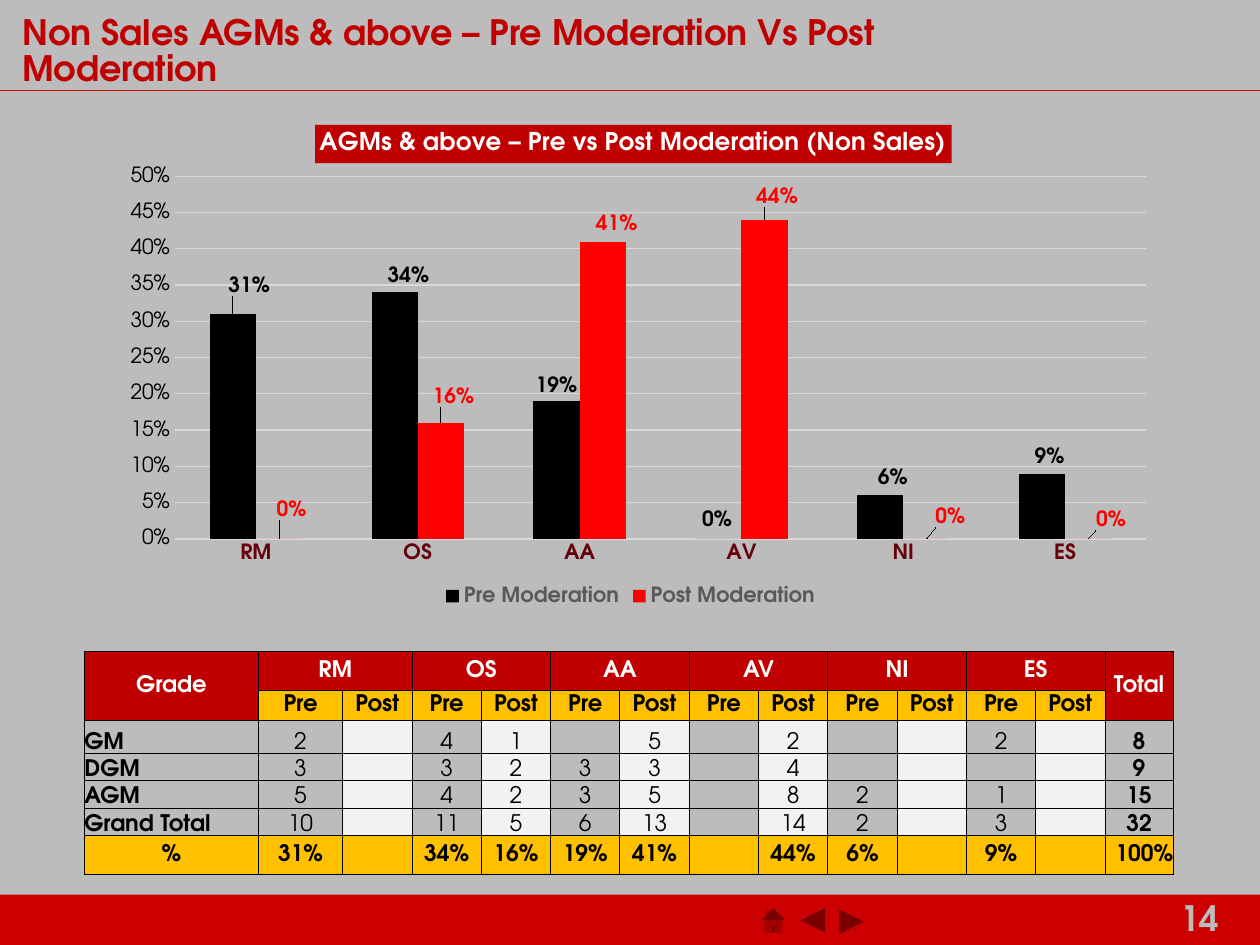
from dataclasses import dataclass
from typing import Any

from lxml.etree import SubElement
from pptx import Presentation
from pptx.chart.data import CategoryChartData
from pptx.dml.color import RGBColor
from pptx.enum.chart import XL_CHART_TYPE, XL_LABEL_POSITION, XL_LEGEND_POSITION, XL_TICK_MARK
from pptx.enum.shapes import MSO_CONNECTOR, MSO_SHAPE
from pptx.enum.text import MSO_ANCHOR, PP_ALIGN
from pptx.oxml import parse_xml
from pptx.oxml.ns import nsdecls, qn
from pptx.util import Inches, Pt

FONT = "TeX Gyre Adventor"
RED, BAR_RED, GOLD, PALE = "C00000", "CC0000", "FFC000", "F2F2F2"
BLACK, WHITE, GREY = "000000", "FFFFFF", "BCBCBC"
CATEGORIES = ["RM", "OS", "AA", "AV", "NI", "ES"]
CHART_BOX = (0.83, 0.99, 8.35, 3.86)


@dataclass
class Series:
    name: str
    values: list[float]
    color: str
    label_offsets: dict[int, tuple[float, float]]


@dataclass
class Button:
    kind: MSO_SHAPE
    left: float
    top: float


SERIES = [
    Series("Pre Moderation", [0.31, 0.34, 0.19, 0, 0.06, 0.09], BLACK,
           {0: (0.13, -0.1), 1: (0.11, -0.01), 3: (-0.01, -0.03),
            4: (0.1, -0.02), 5: (0.06, -0.01)}),
    Series("Post Moderation", [0, 0.16, 0.41, 0.44, 0, 0], "FF0000",
           {0: (0.1, -0.11), 1: (0.1, -0.08), 2: (0.11, -0.02),
            3: (0.1, -0.06), 4: (0.19, -0.05), 5: (0.18, -0.03)}),
]
BUTTONS = [
    Button(MSO_SHAPE.ACTION_BUTTON_BACK_OR_PREVIOUS, 6.63, 7.15),
    Button(MSO_SHAPE.ACTION_BUTTON_FORWARD_OR_NEXT, 6.32, 7.14),
    Button(MSO_SHAPE.ACTION_BUTTON_CUSTOM, 6.96, 7.15),
    Button(MSO_SHAPE.ACTION_BUTTON_HOME, 6.01, 7.14),
]
COLUMN_WIDTHS = [1.38, 0.67] + [0.55] * 11 + [0.54]
ROW_HEIGHTS = [0.31, 0.24, 0.26, 0.17, 0.19, 0.21, 0.31]
ROWS = [
    ["Grade"] + [text for name in CATEGORIES for text in (name, "")] + ["Total"],
    [""] + ["Pre", "Post"] * len(CATEGORIES) + [""],
    ["GM", "2", "", "4", "1", "", "5", "", "2", "", "", "2", "", "8"],
    ["DGM", "3", "", "3", "2", "3", "3", "", "4", "", "", "", "", "9"],
    ["AGM", "5", "", "4", "2", "3", "5", "", "8", "2", "", "1", "", "15"],
    ["Grand Total", "10", "", "11", "5", "6", "13", "", "14", "2", "", "3", "", "32"],
    ["%", "31%", "", "34%", "16%", "19%", "41%", "", "44%", "6%", "", "9%", "", "100%"],
]


def rgb(color: str) -> RGBColor:
    return RGBColor.from_string(color)


def set_font(font: Any, size: float, color: str, bold: bool = False) -> None:
    for name, value in {"name": FONT, "size": Pt(size), "bold": bold}.items():
        setattr(font, name, value)
    font.color.rgb = rgb(color)


def fill_solid(fill: Any, color: str) -> None:
    fill.solid()
    fill.fore_color.rgb = rgb(color)


def add_text(slide: Any, box: tuple, text: str, color: str, spacing: float = 1.0) -> None:
    frame = slide.shapes.add_textbox(*map(Inches, box)).text_frame
    frame.word_wrap = True
    frame.vertical_anchor = MSO_ANCHOR.MIDDLE
    paragraph = frame.paragraphs[0]
    paragraph.line_spacing = spacing
    run = paragraph.add_run()
    run.text = text
    set_font(run.font, 20, color, True)


def add_filled_shape(slide: Any, kind: MSO_SHAPE, box: tuple) -> Any:
    shape = slide.shapes.add_shape(kind, *map(Inches, box))
    shape.shadow.inherit = False
    fill_solid(shape.fill, BAR_RED)
    shape.line.fill.background()
    return shape


def add_footer(slide: Any) -> None:
    add_filled_shape(slide, MSO_SHAPE.RECTANGLE, (0, 7.1, 10, 0.4))
    add_text(slide, (9.27, 7.07, 0.73, 0.43), "14", GREY)
    for button in BUTTONS:
        shape = add_filled_shape(slide, button.kind, (button.left, button.top, 0.26, 0.33))
        shape._element.spPr.find(qn("a:xfrm")).set("flipH", "1")


def add_header(slide: Any) -> None:
    rule = slide.shapes.add_connector(
        MSO_CONNECTOR.STRAIGHT, Inches(0), Inches(0.72), Inches(10), Inches(0.72))
    rule.line.color.rgb = rgb(BAR_RED)
    rule.line.width = Pt(0.75)
    SubElement(rule._element.spPr, qn("a:effectLst"))
    add_text(slide, (0.08, 0.08, 8.25, 0.68),
             "Non Sales AGMs & above – Pre Moderation Vs Post Moderation", RED, 0.85)


def manual_layout(inner: bool = False, **values: float) -> Any:
    target = '<c:layoutTarget val="inner"/><c:xMode val="edge"/><c:yMode val="edge"/>' if inner else ""
    parts = "".join(f'<c:{name} val="{value:.4f}"/>' for name, value in values.items())
    return parse_xml(f'<c:layout {nsdecls("c")}><c:manualLayout>{target}{parts}'
                     '</c:manualLayout></c:layout>')


def replace_layout(parent: Any, layout: Any, index: int) -> None:
    for previous in parent.findall(qn("c:layout")):
        parent.remove(previous)
    parent.insert(index, layout)


def style_series(plotted: Any, series: Series) -> None:
    fill_solid(plotted.format.fill, series.color)
    plotted.invert_if_negative = False
    labels = plotted.data_labels
    for name, value in {"show_value": True, "number_format": "0%",
                        "number_format_is_linked": False,
                        "position": XL_LABEL_POSITION.OUTSIDE_END}.items():
        setattr(labels, name, value)
    set_font(labels.font, 12, series.color, True)
    for index, (right, down) in series.label_offsets.items():
        label = plotted.points[index].data_label
        set_font(label.font, 12, series.color, True)
        label.position = XL_LABEL_POSITION.OUTSIDE_END
        element = labels._element.find(f'{qn("c:dLbl")}[{index_position(series, index)}]')
        replace_layout(element, manual_layout(x=right / CHART_BOX[2], y=down / CHART_BOX[3]), 1)


def index_position(series: Series, index: int) -> int:
    return sorted(series.label_offsets).index(index) + 1


def style_axis(axis: Any, color: str, bold: bool) -> None:
    for name, value in {"major_tick_mark": XL_TICK_MARK.NONE,
                        "minor_tick_mark": XL_TICK_MARK.NONE}.items():
        setattr(axis, name, value)
    set_font(axis.tick_labels.font, 12, color, bold)
    axis.format.line.fill.background()


def add_moderation_chart(slide: Any) -> None:
    data = CategoryChartData(number_format="0%")
    data.categories = CATEGORIES
    for series in SERIES:
        data.add_series(series.name, series.values)
    chart = slide.shapes.add_chart(
        XL_CHART_TYPE.COLUMN_CLUSTERED, *map(Inches, CHART_BOX), data).chart
    set_font(chart.font, 10, BLACK)

    chart.has_title = True
    title = chart.chart_title
    run = title.text_frame.paragraphs[0].add_run()
    run.text = "AGMs & above – Pre vs Post Moderation (Non Sales)"
    set_font(run.font, 14, WHITE, True)
    fill_solid(title.format.fill, RED)
    layout = manual_layout(x=0.2, y=0)
    for name in ("yMode", "xMode"):
        layout[0].insert(0, parse_xml(f'<c:{name} {nsdecls("c")} val="edge"/>'))
    replace_layout(title._element, layout, 1)

    chart.has_legend = True
    chart.legend.position = XL_LEGEND_POSITION.BOTTOM
    chart.legend.include_in_layout = False
    set_font(chart.legend.font, 12, "595959", True)

    style_axis(chart.category_axis, "66000B", True)
    style_axis(chart.value_axis, BLACK, False)
    for name, value in {"minimum_scale": 0, "maximum_scale": 0.5, "major_unit": 0.05}.items():
        setattr(chart.value_axis, name, value)
    chart.value_axis.tick_labels.number_format = "0%"
    chart.value_axis.tick_labels.number_format_is_linked = False
    grid = chart.value_axis.major_gridlines.format.line
    grid.color.rgb = rgb("D9D9D9")
    grid.width = Pt(0.75)

    plot = chart.plots[0]
    for name, value in {"gap_width": 150, "overlap": 0, "vary_by_categories": False}.items():
        setattr(plot, name, value)
    for plotted, series in zip(plot.series, SERIES):
        style_series(plotted, series)
    plot_area = chart._chartSpace.chart.plotArea
    replace_layout(plot_area, manual_layout(True, x=0.067, y=0.106, w=0.923, h=0.746), 0)


def cell_fill(row: int, column: int) -> str | None:
    if row == 0 or (row == 1 and column in (0, 13)):
        return RED
    if row in (1, 6):
        return GOLD
    return PALE if column in range(2, 13, 2) else None


def style_cell(cell: Any, text: str, row: int, column: int) -> None:
    body = 2 <= row <= 5
    for side in ("left", "right", "top", "bottom"):
        setattr(cell, f"margin_{side}", 0)
    cell.vertical_anchor = MSO_ANCHOR.BOTTOM if body else MSO_ANCHOR.MIDDLE
    paragraph = cell.text_frame.paragraphs[0]
    paragraph.alignment = PP_ALIGN.LEFT if body and column == 0 else PP_ALIGN.CENTER
    if text == "100%":
        paragraph.alignment = PP_ALIGN.RIGHT
    if text:
        run = paragraph.add_run()
        run.text = text
        set_font(run.font, 13, WHITE if row == 0 else BLACK, not body or column in (0, 13))
    else:
        SubElement(paragraph._p, qn("a:endParaRPr"), sz="1300")
    color = cell_fill(row, column)
    if color:
        fill_solid(cell.fill, color)
    else:
        cell.fill.background()
    properties = cell._tc.get_or_add_tcPr()
    for index, side in enumerate("LRTB"):
        properties.insert(index, parse_xml(
            f'<a:ln{side} {nsdecls("a")} w="6350"><a:solidFill><a:srgbClr val="{BLACK}"/>'
            f'</a:solidFill></a:ln{side}>'))


def add_grade_table(slide: Any) -> None:
    table = slide.shapes.add_table(
        len(ROWS), len(COLUMN_WIDTHS), Inches(0.67), Inches(5.17),
        Inches(sum(COLUMN_WIDTHS)), Inches(sum(ROW_HEIGHTS))).table
    table.first_row = table.horz_banding = False
    for column, width in zip(table.columns, COLUMN_WIDTHS):
        column.width = Inches(width)
    for row, height in zip(table.rows, ROW_HEIGHTS):
        row.height = Inches(height)
    for row, texts in enumerate(ROWS):
        for column, text in enumerate(texts):
            style_cell(table.cell(row, column), text, row, column)
    for column in (0, 13):
        table.cell(0, column).merge(table.cell(1, column))
    for column in range(1, 13, 2):
        table.cell(0, column).merge(table.cell(0, column + 1))


def main() -> None:
    presentation = Presentation()
    presentation.slide_width, presentation.slide_height = Inches(10), Inches(7.5)
    slide = presentation.slides.add_slide(presentation.slide_layouts[6])
    fill_solid(slide.background.fill, GREY)
    add_footer(slide)
    add_header(slide)
    add_grade_table(slide)
    add_moderation_chart(slide)
    presentation.save("out.pptx")


if __name__ == "__main__":
    main()
